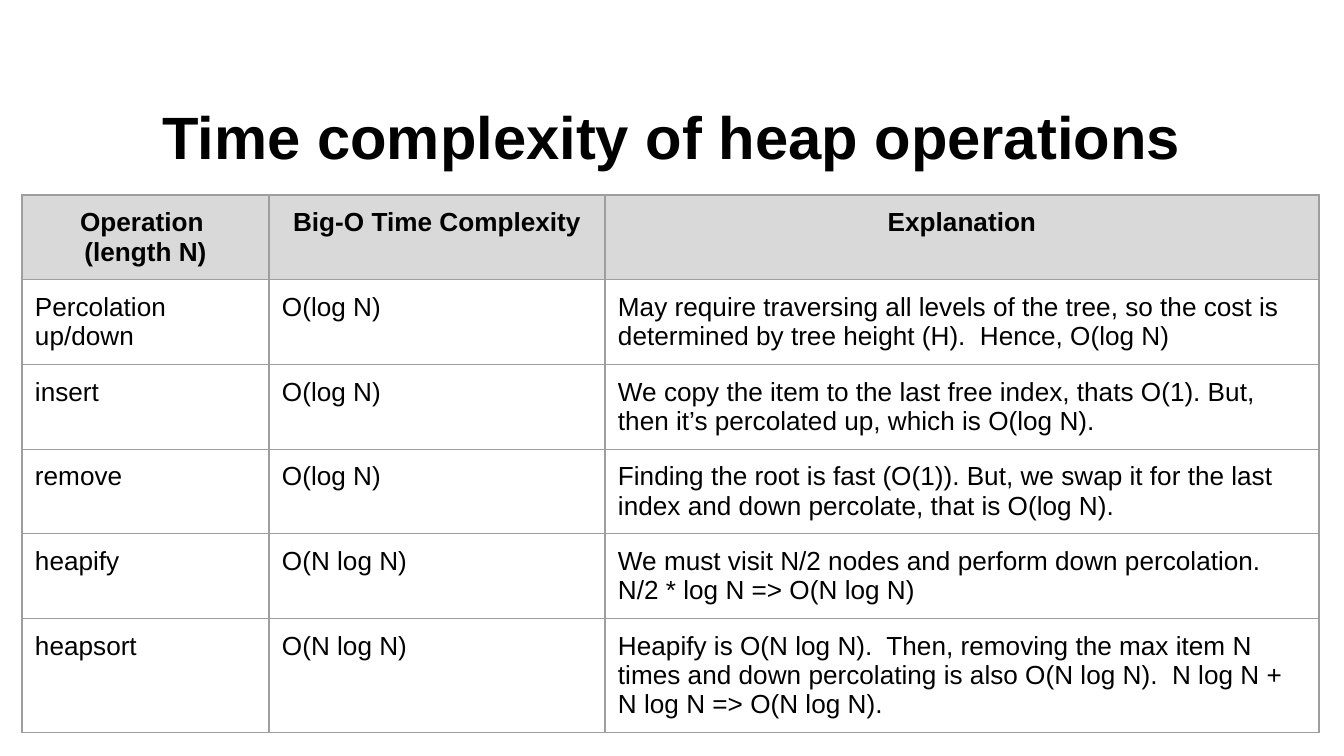
from pptx import Presentation
from pptx.dml.color import RGBColor
from pptx.enum.text import MSO_ANCHOR as Anchor, MSO_AUTO_SIZE as AutoSize, PP_ALIGN as Align
from pptx.oxml import parse_xml
from pptx.oxml.ns import nsdecls
from pptx.util import Emu, Pt

SCALE = 914400 / 134.4
COLORS = {"text": "000000", "header": "D9D9D9", "body": "FFFFFF", "border": "9E9E9E"}
MARGINS = ("margin_left", "margin_top", "margin_right", "margin_bottom")


def px(value):
    return Emu(round(value * SCALE))


def write(frame, text, align, size, bold):
    frame.text = text
    for para in frame.paragraphs:
        para.alignment = align
        for span in para.runs:
            for name, value in {"name": "Arial", "size": Pt(size), "bold": bold}.items():
                setattr(span.font, name, value)
            span.font.color.rgb = RGBColor.from_string(COLORS["text"])


deck = Presentation()
deck.slide_width, deck.slide_height = px(1344), px(756)
page = deck.slides.add_slide(deck.slide_layouts[5])

title = page.shapes.title
title.left, title.top, title.width, title.height = px(67), px(77), px(1210), px(118)
title_format = {"word_wrap": True, "auto_size": AutoSize.NONE, "vertical_anchor": Anchor.MIDDLE}
title_format.update({margin: px(13) for margin in MARGINS})
for name, value in title_format.items():
    setattr(title.text_frame, name, value)
write(title.text_frame, "Time complexity of heap operations", Align.CENTER, 32, True)

rows = [
    ("Operation \n(length N)", "Big-O Time Complexity", "Explanation"),
    ("Percolation up/down", "O(log N)",
     "May require traversing all levels of the tree, so the cost is determined by "
     "tree height (H).  Hence, O(log N)"),
    ("insert", "O(log N)",
     "We copy the item to the last free index, thats O(1). But, then it’s percolated up, "
     "which is O(log N)."),
    ("remove", "O(log N)",
     "Finding the root is fast (O(1)). But, we swap it for the last index and down percolate, "
     "that is O(log N)."),
    ("heapify", "O(N log N)",
     "We must visit N/2 nodes and perform down percolation.  N/2 * log N => O(N log N)"),
    ("heapsort", "O(N log N)",
     "Heapify is O(N log N).  Then, removing the max item N times and down percolating is also "
     "O(N log N).  N log N + N log N => O(N log N)."),
]
widths = [247, 336, 714]
row_height = 79

table = page.shapes.add_table(
    len(rows), len(widths), px(22), px(195), px(sum(widths)), px(row_height * len(rows))
).table
table.horz_banding = False
for column, width in zip(table.columns, widths):
    column.width = px(width)

for row_index, texts in enumerate(rows):
    is_header = row_index == 0
    table.rows[row_index].height = px(row_height)
    for column_index, text in enumerate(texts):
        cell = table.cell(row_index, column_index)
        for margin in MARGINS:
            setattr(cell, margin, px(13))
        cell.vertical_anchor = Anchor.TOP
        write(cell.text_frame, text, Align.CENTER if is_header else Align.LEFT, 14, is_header)
        properties = cell._tc.get_or_add_tcPr()
        for side in ("lnL", "lnR", "lnT", "lnB"):
            properties.append(parse_xml(
                f'<a:{side} {nsdecls("a")} w="{Pt(0.75)}"><a:solidFill>'
                f'<a:srgbClr val="{COLORS["border"]}"/></a:solidFill></a:{side}>'
            ))
        cell.fill.solid()
        cell.fill.fore_color.rgb = RGBColor.from_string(COLORS["header" if is_header else "body"])

deck.save("out.pptx")
